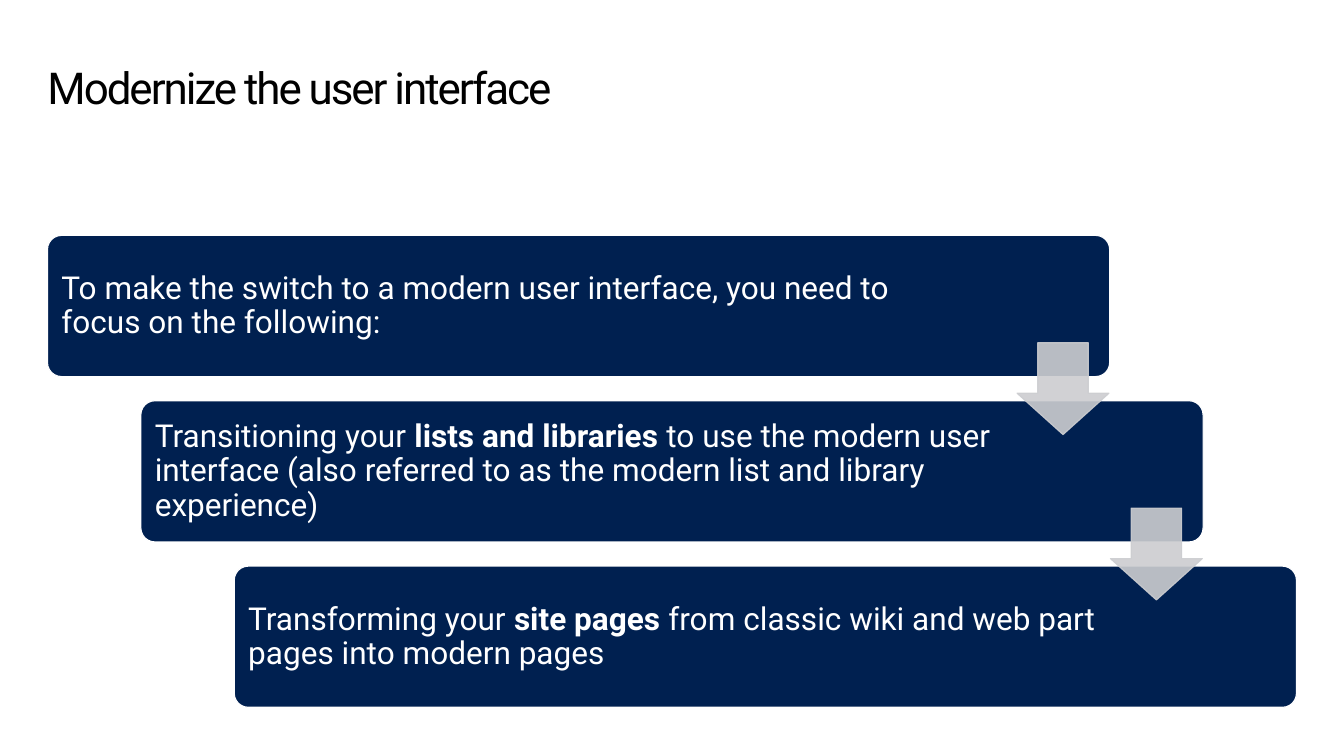
from lxml import etree
from pptx import Presentation
from pptx.dml.color import RGBColor
from pptx.enum.shapes import MSO_SHAPE
from pptx.enum.text import MSO_ANCHOR, MSO_AUTO_SIZE, PP_ALIGN
from pptx.oxml.ns import qn
from pptx.util import Cm, Pt

FONT = "Roboto"
NAVY, GREY, WHITE, BLACK = "002050", "CCCDD0", "FFFFFF", "000000"
LEFT, TOP = 1.22, 6.05
STEP_X, STEP_Y = 2.4, 4.25
STEPS = [
    (23.37, [("To make the switch to a modern user interface, you need to "
              "focus on the following:", False)]),
    (22.3, [("Transitioning your ", False), ("lists and libraries", True),
            (" to use the modern user interface (also referred to as the "
             "modern list and library experience)", False)]),
    (22.3, [("Transforming your ", False), ("site pages", True),
            (" from classic wiki and web part pages into modern pages", False)]),
]


def rgb(value):
    return RGBColor.from_string(value)


def set_insets(tf, left, top, right, bottom):
    tf.margin_left, tf.margin_top = Cm(left), Cm(top)
    tf.margin_right, tf.margin_bottom = Cm(right), Cm(bottom)


def add_run(p, text, size, color, bold=False):
    r = p.add_run()
    r.text = text
    r.font.name = FONT
    r.font.size = Pt(size)
    r.font.bold = bold
    r.font.color.rgb = rgb(color)
    return r


def set_title(s, text):
    sp = s.shapes.title
    sp.left, sp.top, sp.width, sp.height = Cm(LEFT), Cm(1.24), Cm(32.13), Cm(2.08)
    tf = sp.text_frame
    tf.word_wrap = True
    tf.auto_size = MSO_AUTO_SIZE.NONE
    tf.vertical_anchor = MSO_ANCHOR.TOP
    set_insets(tf, 0, 0.46, 0, 0)
    p = tf.paragraphs[0]
    p.alignment = PP_ALIGN.LEFT
    p.line_spacing = 0.9
    r = add_run(p, text, 32, BLACK)
    r.font._element.set("spc", "-150")


def add_filled_shape(s, kind, box, adjustments, fill, line):
    sp = s.shapes.add_shape(kind, *map(Cm, box))
    for i, value in enumerate(adjustments):
        sp.adjustments[i] = value
    sp.shadow.inherit = False
    sp.fill.solid()
    sp.fill.fore_color.rgb = rgb(fill)
    sp.line.color.rgb = rgb(line)
    sp.line.width = Pt(0.85)
    return sp


def add_step_text(s, box, runs):
    tf = s.shapes.add_textbox(*map(Cm, box)).text_frame
    tf.word_wrap = True
    tf.vertical_anchor = MSO_ANCHOR.MIDDLE
    set_insets(tf, 0.25, 0.25, 0.25, 0.25)
    p = tf.paragraphs[0]
    p.line_spacing = 0.9
    for text, bold in runs:
        add_run(p, text, 23, WHITE, bold)


def add_step(s, index, text_width, runs):
    x, y = LEFT + index * STEP_X, TOP + index * STEP_Y
    add_filled_shape(s, MSO_SHAPE.ROUNDED_RECTANGLE, (x, y, 27.3, 3.63),
                     [0.1], NAVY, WHITE)
    add_step_text(s, (x + 0.11, y + 0.11, text_width, 3.43), runs)


def add_step_arrow(s, index):
    x, y = 26.14 + index * STEP_X, 8.81 + index * STEP_Y
    sp = add_filled_shape(s, MSO_SHAPE.DOWN_ARROW, (x, y, 2.36, 2.36),
                          [0.55, 0.45], GREY, GREY)
    for color in sp._element.spPr.iter(qn("a:srgbClr")):
        etree.SubElement(color, qn("a:alpha")).set("val", "90000")


def main():
    """Build the slide with three cascading steps and save it."""
    prs = Presentation()
    prs.slide_width, prs.slide_height = Cm(34.54), Cm(19.43)
    s = prs.slides.add_slide(prs.slide_layouts[5])
    set_title(s, "Modernize the user interface")
    for index, (text_width, runs) in enumerate(STEPS):
        add_step(s, index, text_width, runs)
    for index in range(len(STEPS) - 1):
        add_step_arrow(s, index)
    prs.save("out.pptx")


if __name__ == "__main__":
    main()
